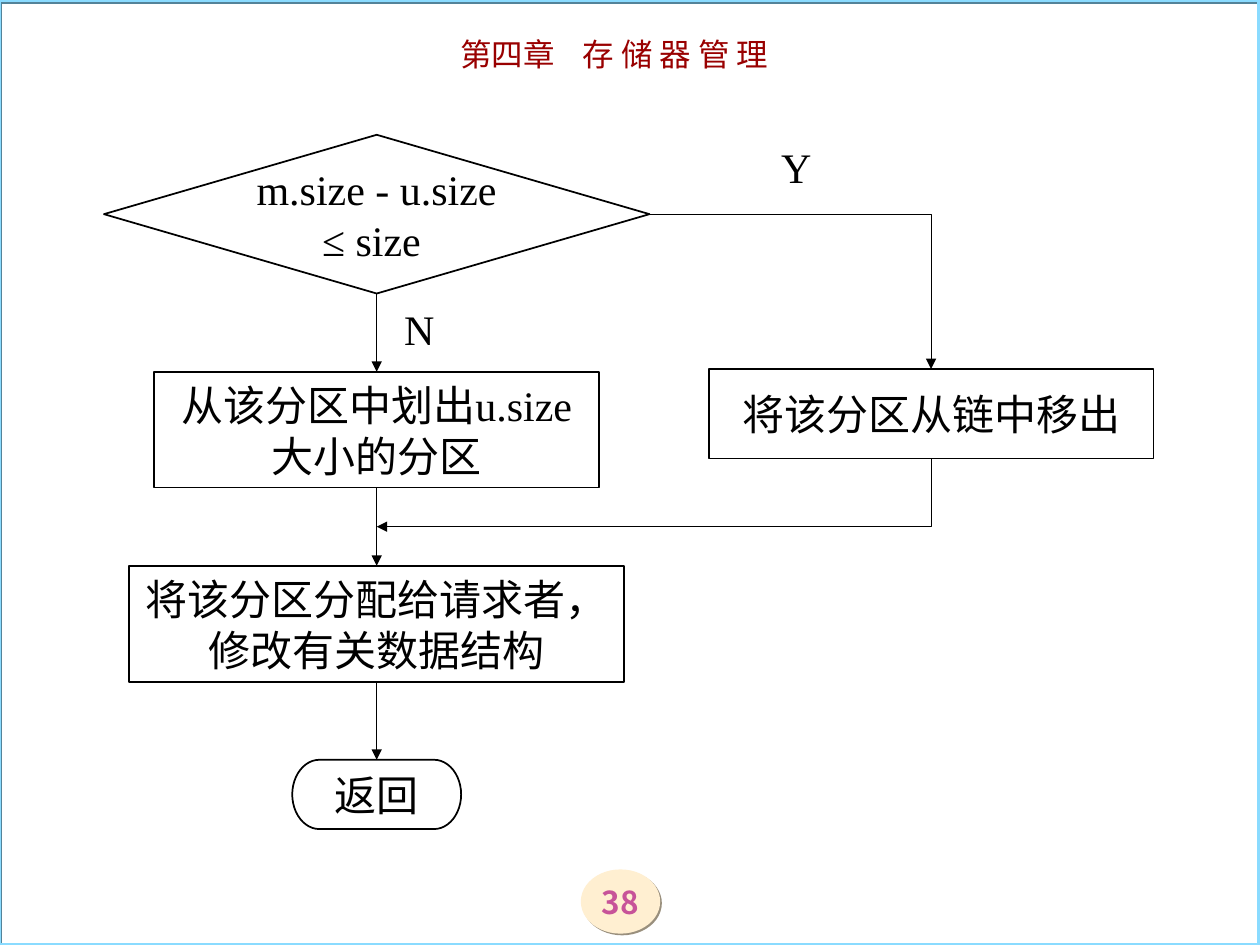
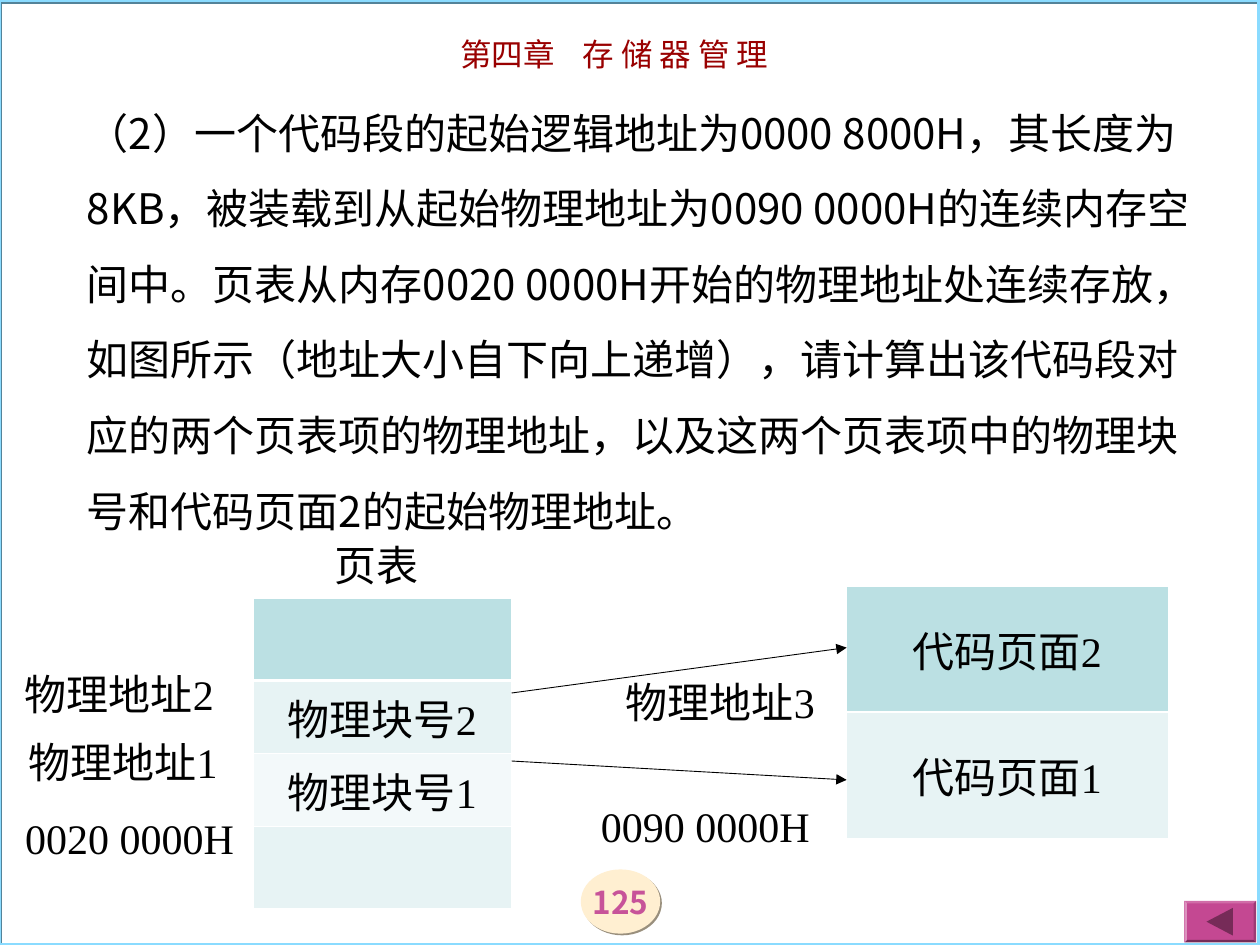
from dataclasses import dataclass

from lxml import etree
from pptx import Presentation, util as u
from pptx.dml.color import RGBColor
from pptx.enum import shapes, text
from pptx.oxml import ns

SHAPE = shapes.MSO_SHAPE
CENTER, LEFT = text.PP_ALIGN.CENTER, text.PP_ALIGN.LEFT
MIDDLE, TOP = text.MSO_ANCHOR.MIDDLE, text.MSO_ANCHOR.TOP


@dataclass(frozen=True)
class Theme:
    serif: str = "Times New Roman"
    sans: str = "Noto Sans CJK SC"
    heading: str = "Noto Sans CJK JP"
    body_size: float = 24
    small_size: float = 18
    line_pitch: float = 29
    wide_pitch: float = 43.2
    ink: str = "000000"
    white: str = "FFFFFF"
    chapter: str = "990000"
    frame: str = "8ADBFF"
    frame_shadow: str = "538399"
    badge: str = "FFEFD1"
    badge_shadow: str = "998F7D"
    badge_text: str = "C75399"
    header_cell: str = "BBE0E3"
    band_cell: str = "E7F3F4"
    pale_cell: str = "F3F9FA"
    button: str = "C44892"
    bevel: tuple = ("D06DA8", "9D3A75", "762B58", "DC91BE")  # top, right, bottom, left
    button_icon: str = "762B58"


THEME = Theme()


@dataclass(frozen=True)
class Box:
    """A region in inches; within() gives a box relative to it."""
    left: float
    top: float
    width: float
    height: float

    def within(self, dx, dy, width, height):
        return Box(self.left + dx, self.top + dy, width, height)

    def emu(self):
        return [u.Inches(v) for v in (self.left, self.top, self.width, self.height)]


# ---- shared helpers ----
def rgb(value):
    return RGBColor.from_string(value)


def sub(parent, tag, **attributes):
    return etree.SubElement(parent, ns.qn(tag), {k: str(v) for k, v in attributes.items()})


def add_span(para, words, size=THEME.body_size, font=THEME.serif, color=THEME.ink, bold=False):
    span = para.add_run()
    span.text = words
    span.font.size, span.font.name, span.font.bold = u.Pt(size), font, bold
    span.font.color.rgb = rgb(color)
    east_asian = THEME.sans if font == THEME.serif else font
    sub(span._r.rPr, "a:ea", typeface=east_asian)
    return span


def open_text(shape, align=CENTER, anchor=MIDDLE, pitch=None, inset=None):
    frame = shape.text_frame
    frame.word_wrap, frame.vertical_anchor = True, anchor
    if inset is not None:
        frame.margin_left = frame.margin_right = u.Inches(inset)
        frame.margin_top = frame.margin_bottom = u.Inches(inset)
    para = frame.paragraphs[0]
    para.alignment = align
    if pitch:
        para.line_spacing = u.Pt(pitch)
    return para


def add_label(page, box, words):
    label = page.shapes.add_textbox(*box.emu())
    add_span(open_text(label, LEFT, TOP, THEME.line_pitch), words)


def paint(shape, fill=None, line=None, width=1):
    shape.shadow.inherit = False
    if fill:
        shape.fill.solid()
        shape.fill.fore_color.rgb = rgb(fill)
    else:
        shape.fill.background()
    if line:
        shape.line.color.rgb, shape.line.width = rgb(line), u.Pt(width)
    else:
        shape.line.fill.background()


def cast_shadow(shape, color):
    effects = shape._element.spPr.find(ns.qn("a:effectLst"))
    shadow = sub(effects, "a:outerShdw", blurRad=0, dist=u.Pt(1.4), dir=45 * 60000,
                 algn="ctr", rotWithShape=0)
    sub(shadow, "a:srgbClr", val=color)


def add_arrow(page, x1, y1, x2, y2, kind=shapes.MSO_CONNECTOR.STRAIGHT):
    arrow = page.shapes.add_connector(kind, *[u.Inches(v) for v in (x1, y1, x2, y2)])
    arrow.line.color.rgb, arrow.line.width = rgb(THEME.ink), u.Pt(0.5)
    properties = arrow._element.spPr
    sub(properties.find(ns.qn("a:ln")), "a:tailEnd", type="triangle")
    sub(properties, "a:effectLst")
    return arrow


def add_corner_arrow(page, x1, y1, x2, y2, down_first=False):
    """One-bend arrow; the preset runs right then down, a quarter turn gives down then left."""
    if down_first:
        cx, cy = (x1 + x2) / 2, (y1 + y2) / 2
        half_w, half_h = abs(y2 - y1) / 2, abs(x2 - x1) / 2
        x1, y1, x2, y2 = cx - half_w, cy - half_h, cx + half_w, cy + half_h
    arrow = add_arrow(page, x1, y1, x2, y2, shapes.MSO_CONNECTOR.ELBOW)
    properties = arrow._element.spPr
    properties.find(ns.qn("a:prstGeom")).set("prst", "bentConnector2")
    if down_first:
        properties.find(ns.qn("a:xfrm")).set("rot", str(90 * 60000))


def add_polygon(page, points, color):
    start, *rest = [(u.Inches(x), u.Inches(y)) for x, y in points]
    builder = page.shapes.build_freeform(*start)
    builder.add_line_segments(rest, close=True)
    paint(builder.convert_to_shape(), color)


# ---- page frame, chapter heading, number badge ----
def add_page(deck, number):
    page = deck.slides.add_slide(deck.slide_layouts[6])
    badge = page.shapes.add_shape(SHAPE.OVAL, *Box(4.61, 6.9, 0.63, 0.51).emu())
    paint(badge, THEME.badge)
    cast_shadow(badge, THEME.badge_shadow)
    add_span(open_text(badge, inset=0), number, THEME.small_size, THEME.sans,
             THEME.badge_text, bold=True)

    border = page.shapes.add_shape(SHAPE.RECTANGLE, *Box(-0.01, 0, 10, 7.5).emu())
    paint(border, line=THEME.frame, width=2.25)
    cast_shadow(border, THEME.frame_shadow)

    heading = page.shapes.add_textbox(*Box(2.08, 0.23, 5.59, 0.4).emu())
    para = open_text(heading, anchor=TOP)
    style = (THEME.small_size, THEME.heading, THEME.chapter)
    add_span(para, "第四章", *style)
    gap = add_span(para, " ", *style)
    gap._r.rPr.set("spc", "1200")
    add_span(para, "存 储 器 管 理", *style)
    return page


# ---- allocation flowchart ----
def add_step(page, box, kind, words):
    step = page.shapes.add_shape(kind, *box.emu())
    paint(step, THEME.white, THEME.ink)
    add_span(open_text(step, pitch=THEME.line_pitch), words)
    return step


def add_flowchart(page, box):
    main_x, side_x = 2.16, 6.56  # column centres inside the box

    def step(center, top, width, height, kind, words):
        return add_step(page, box.within(center - width / 2, top, width, height), kind, words)

    process = SHAPE.FLOWCHART_PROCESS
    column = [
        step(main_x, 0, 4.33, 1.26, SHAPE.FLOWCHART_DECISION, "m.size - u.size ≤ size "),
        step(main_x, 1.88, 3.53, 0.92, process, "从该分区中划出u.size大小的分区"),
        step(main_x, 3.42, 3.93, 0.92, process, "将该分区分配给请求者，修改有关数据结构"),
        step(main_x, 4.96, 1.34, 0.55, SHAPE.FLOWCHART_TERMINATOR, "返回"),
    ]
    step(side_x, 1.86, 3.53, 0.71, process, "将该分区从链中移出")

    # Downward arrows between neighbours
    for upper, lower in zip(column, column[1:]):
        arrow = add_arrow(page, 0, 0, 1, 1)
        arrow.begin_connect(upper, 2)
        arrow.end_connect(lower, 0)

    # Side branch out and back
    x_main, x_side = box.left + main_x, box.left + side_x
    add_corner_arrow(page, box.left + 4.33, box.top + 0.63, x_side, box.top + 1.86)
    add_corner_arrow(page, x_side, box.top + 2.57, x_main, box.top + 3.11, down_first=True)
    add_label(page, box.within(2.28, 1.29, 0.55, 0.5), "N")
    add_label(page, box.within(5.27, 0, 0.55, 0.5), "Y")


# ---- question text ----
def add_question(page, box):
    question = page.shapes.add_textbox(*box.emu())
    para = open_text(question, LEFT, MIDDLE, THEME.wide_pitch)
    add_span(para, "（2）一个代码段的起始逻辑地址为0000 8000H，其长度为8KB，"
                   "被装载到从起始物理地址为0090 0000H的连续内存空间中。"
                   "页表从内存0020 0000H开始的物理地址处连续存放，"
                   "如图所示（地址大小自下向上递增），请计算出该代码段对应的两个页表项的物理地址，"
                   "以及这两个页表项中的物理块号和代码页面2的起始物理地址。", font=THEME.sans)


# ---- memory tables and their addresses ----
def add_memory_table(page, box, rows, anchor):
    """rows holds (height, fill, words) from top to bottom."""
    grid = page.shapes.add_table(len(rows), 1, *box.emu()).table
    grid.first_row = grid.horz_banding = False
    grid.columns[0].width = u.Inches(box.width)
    for index, (height, fill, words) in enumerate(rows):
        grid.rows[index].height = u.Inches(height)
        cell = grid.cell(index, 0)
        heavy = {0: "a:lnB", 1: "a:lnT"}.get(index)  # rule under the first row
        for side in ("a:lnL", "a:lnR", "a:lnT", "a:lnB"):
            edge = sub(cell._tc.get_or_add_tcPr(), side, w=u.Pt(1.47 if side == heavy else 0.45))
            sub(sub(edge, "a:solidFill"), "a:srgbClr", val=THEME.white)
        cell.fill.solid()
        cell.fill.fore_color.rgb = rgb(fill)
        cell.vertical_anchor = anchor
        if words:
            para = cell.text_frame.paragraphs[0]
            para.alignment = CENTER
            add_span(para, words)


def add_memory_map(page, box):
    add_memory_table(page, box.within(1.91, 0.52, 2.05, 2.46), [
        (0.65, THEME.header_cell, ""),
        (0.58, THEME.band_cell, "物理块号2"),
        (0.58, THEME.pale_cell, "物理块号1"),
        (0.65, THEME.band_cell, "")], TOP)
    add_memory_table(page, box.within(6.62, 0.42, 2.55, 2), [
        (1, THEME.header_cell, "代码页面2"),
        (1, THEME.band_cell, "代码页面1")], MIDDLE)

    for dx, dy, width, words in [
            (2.46, 0, 0.94, "页表"), (0, 1.02, 1.83, "物理地址2"),
            (0.03, 1.56, 1.83, "物理地址1"), (0, 2.17, 2.05, "0020 0000H"),
            (4.57, 2.07, 2.05, "0090 0000H"), (4.77, 1.09, 1.83, "物理地址3")]:
        add_label(page, box.within(dx, dy, width, 0.5), words)

    # Page table entries to code pages
    for start, end in [(1.81, 1.96), (1.27, 0.91)]:
        add_arrow(page, box.left + 3.96, box.top + start, box.left + 6.62, box.top + end)


# ---- bevelled back button ----
def add_back_button(page, box):
    def corners(inset):
        left, top = box.left + inset, box.top + inset
        right, bottom = box.left + box.width - inset, box.top + box.height - inset
        return [(left, top), (right, top), (right, bottom), (left, bottom)]

    outer, inner = corners(0), corners(0.02)
    add_polygon(page, outer, THEME.button)
    for side, color in enumerate(THEME.bevel):
        after = (side + 1) % 4
        add_polygon(page, [outer[side], outer[after], inner[after], inner[side]], color)
    mid_x, mid_y = box.left + box.width / 2, box.top + box.height / 2
    add_polygon(page, [(mid_x - 0.11, mid_y), (mid_x + 0.1, mid_y - 0.11),
                       (mid_x + 0.1, mid_y + 0.11)], THEME.button_icon)


def main():
    deck = Presentation()
    deck.slide_width, deck.slide_height = u.Inches(10), u.Inches(7.5)

    flow_page = add_page(deck, "38")
    add_flowchart(flow_page, Box(0.83, 1.07, 8.33, 5.51))

    question_page = add_page(deck, "125")
    add_question(question_page, Box(0.59, 0.6, 8.98, 3.7))
    add_back_button(question_page, Box(9.4, 7.15, 0.57, 0.33))
    add_memory_map(question_page, Box(0.1, 4.23, 9.17, 2.98))

    deck.save("out.pptx")


if __name__ == "__main__":
    main()
